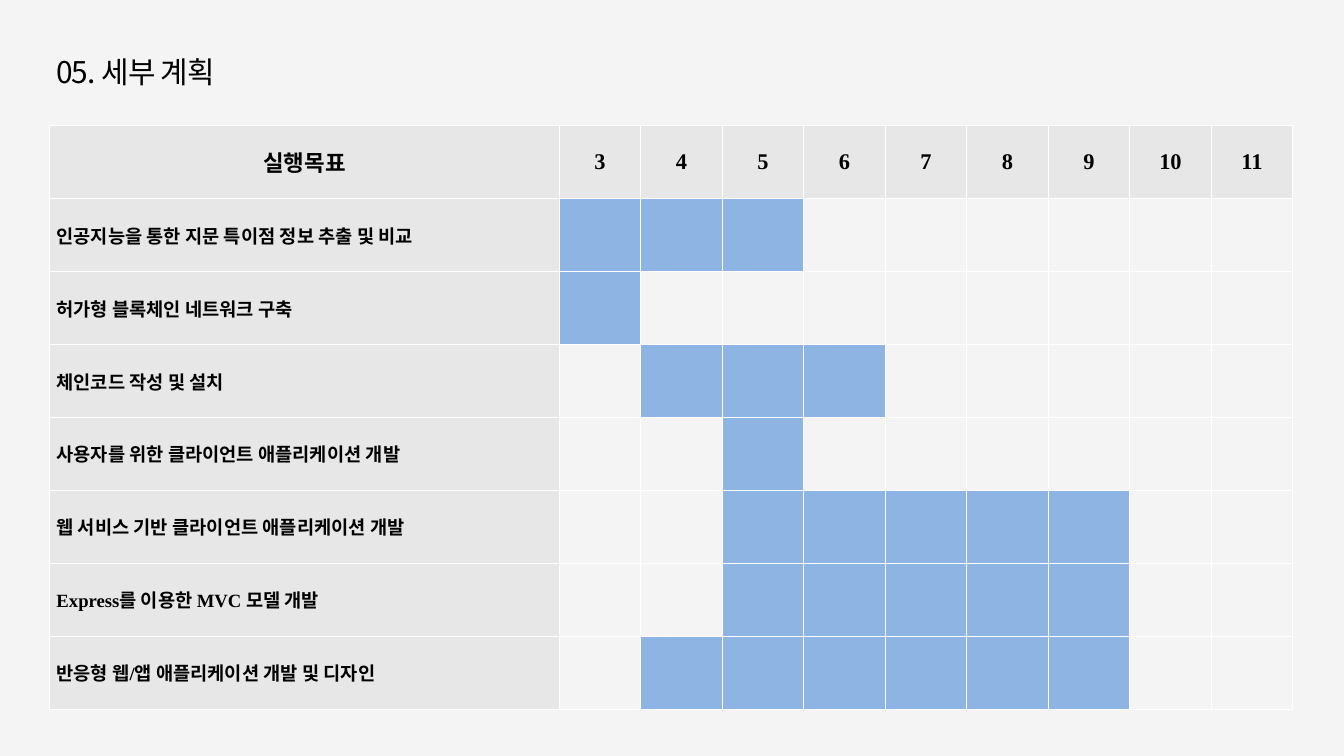
from lxml import etree
from pptx import Presentation
from pptx import util as u
from pptx.dml.color import RGBColor
from pptx.enum import text
from pptx.oxml.ns import qn

BLACK, WHITE, PAPER, HEADING, ACTIVE = "000000", "FFFFFF", "F4F4F4", "E7E7E7", "8EB4E3"
KOREAN, SERIF, SANS = "Noto Sans CJK KR", "Times New Roman", "Calibri"

MONTHS = range(3, 12)
# Goal, first month, last month
PLAN = [
    ("인공지능을 통한 지문 특이점 정보 추출 및 비교", 3, 5),
    ("허가형 블록체인 네트워크 구축", 3, 3),
    ("체인코드 작성 및 설치", 4, 6),
    ("사용자를 위한 클라이언트 애플리케이션 개발", 5, 5),
    ("웹 서비스 기반 클라이언트 애플리케이션 개발", 5, 9),
    ("Express를 이용한 MVC 모델 개발", 5, 9),
    ("반응형 웹/앱 애플리케이션 개발 및 디자인", 4, 9),
]


def color(value):
    return RGBColor.from_string(value)


class Deck:
    """Holds the style and the current slide; lengths are percent of the slide."""

    def __init__(self, width, height):
        self.prs = Presentation()
        self.prs.slide_width, self.prs.slide_height = u.Inches(width), u.Inches(height)
        self.slide = self.prs.slides.add_slide(self.prs.slide_layouts[6])
        background = self.slide.background.fill
        background.solid()
        background.fore_color.rgb = color(PAPER)

    def x(self, share):
        return round(self.prs.slide_width * share / 100)

    def y(self, share):
        return round(self.prs.slide_height * share / 100)

    def run(self, paragraph, words, size, font, bold=False, spacing=None):
        run = paragraph.add_run()
        run.text = words
        run.font.size, run.font.name, run.font.bold = u.Pt(size), font, bold
        run.font.color.rgb = color(BLACK)
        properties = run.font._element
        etree.SubElement(properties, qn("a:ea"), typeface=KOREAN)
        if spacing is not None:
            properties.set("spc", str(round(spacing * 100)))

    def title(self, left, top, width, height, runs):
        box = self.slide.shapes.add_textbox(
            self.x(left), self.y(top), self.x(width), self.y(height))
        frame = box.text_frame
        frame.word_wrap = True
        frame.vertical_anchor = text.MSO_ANCHOR.MIDDLE
        for words, font in runs:
            self.run(frame.paragraphs[0], words, 32, font, spacing=-1)

    def table(self, left, top, width, height, rows, label_width, columns):
        frame = self.slide.shapes.add_table(
            rows, columns, self.x(left), self.y(top), self.x(width), self.y(height))
        table = frame.table
        table.first_row = table.horz_banding = False
        for row in table.rows:
            row.height = self.y(height / rows)
        for index, column in enumerate(table.columns):
            share = (width - label_width) / (columns - 1) if index else label_width
            column.width = self.x(share)
        return table

    def cell(self, cell, fill=None, words="", size=20, centered=False):
        cell.vertical_anchor = text.MSO_ANCHOR.MIDDLE
        if words:
            paragraph = cell.text_frame.paragraphs[0]
            paragraph.alignment = text.PP_ALIGN.CENTER if centered else text.PP_ALIGN.LEFT
            self.run(paragraph, words, size, SERIF, bold=True)
        # Borders come before the fill in the cell properties
        properties = cell._tc.get_or_add_tcPr()
        for side in ("a:lnL", "a:lnR", "a:lnT", "a:lnB"):
            line = etree.SubElement(properties, qn(side), w=str(u.Pt(1)))
            paint = etree.SubElement(line, qn("a:solidFill"))
            etree.SubElement(paint, qn("a:srgbClr"), val=WHITE)
        if fill:
            cell.fill.solid()
            cell.fill.fore_color.rgb = color(fill)
        else:
            cell.fill.background()


def main():
    deck = Deck(20, 11.25)

    # Slide title
    deck.title(3.7, 6.67, 42.5, 5.69, [("05. ", KOREAN), ("세부 계획", SANS)])

    # Schedule: header row, then one row per goal
    schedule = deck.table(3.7, 16.62, 92.5, 77.16, len(PLAN) + 1, 37.9, len(MONTHS) + 1)
    for column, heading in enumerate(["실행목표", *map(str, MONTHS)]):
        deck.cell(schedule.cell(0, column), HEADING, heading, 24, centered=True)
    for row, (goal, first, last) in enumerate(PLAN, 1):
        deck.cell(schedule.cell(row, 0), HEADING, goal)
        for column, month in enumerate(MONTHS, 1):
            deck.cell(schedule.cell(row, column), ACTIVE if first <= month <= last else None)

    deck.prs.save("out.pptx")


if __name__ == "__main__":
    main()
